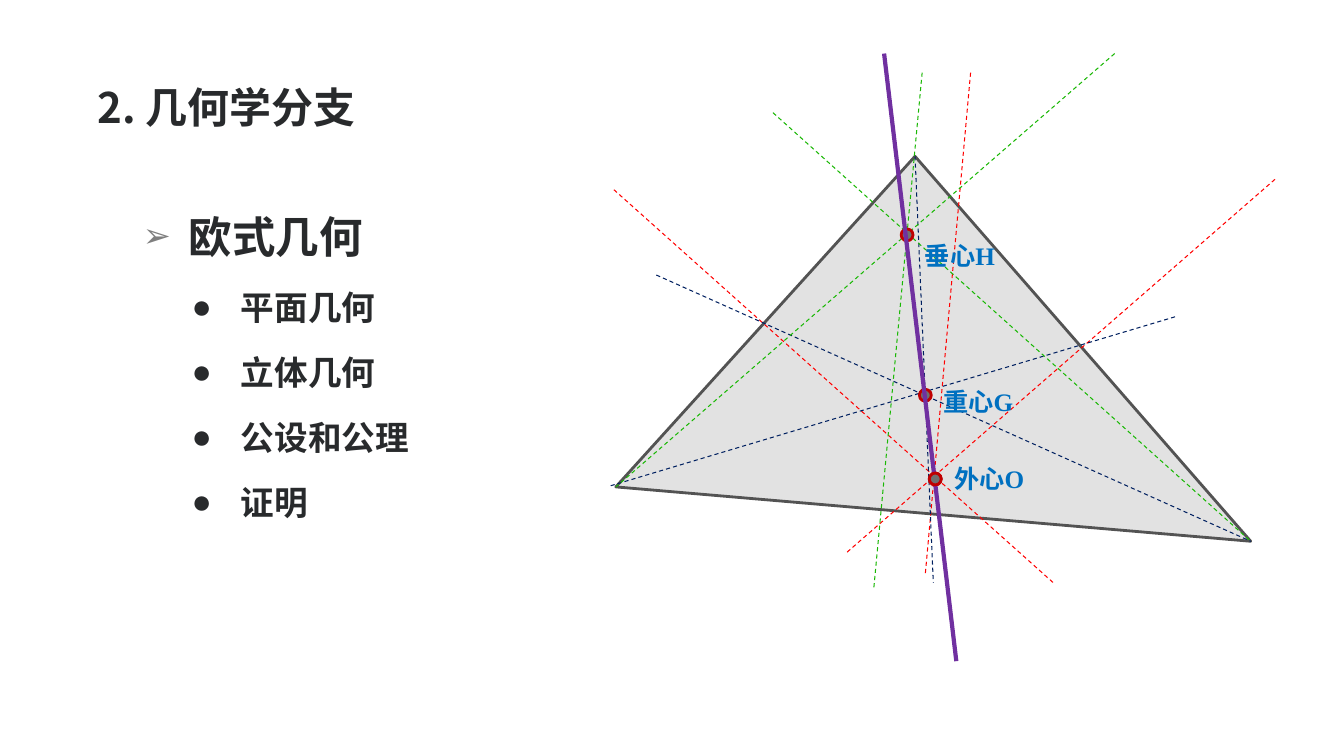
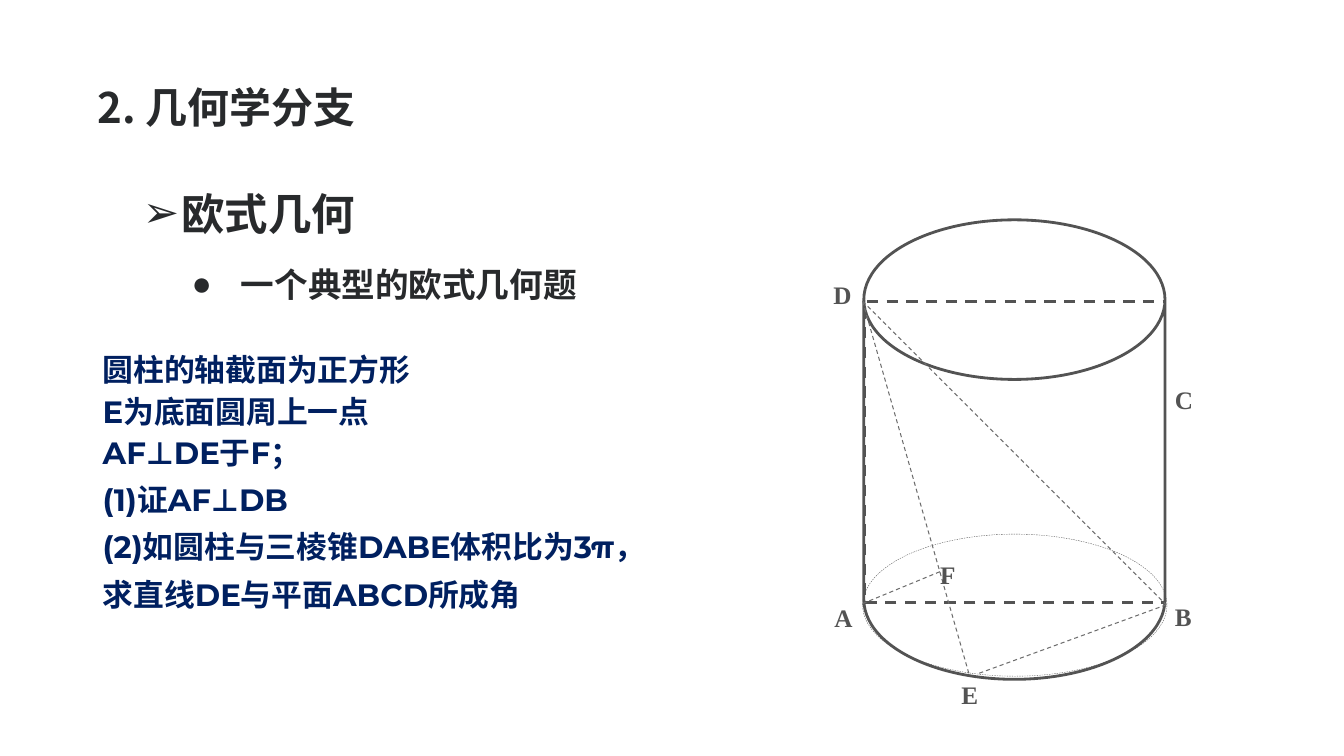
from lxml.etree import SubElement
from pptx import Presentation
from pptx.dml.color import RGBColor
from pptx.enum.dml import MSO_LINE_DASH_STYLE as Dash
from pptx.enum.shapes import MSO_CONNECTOR as Connector, MSO_SHAPE as Shape
from pptx.enum.text import MSO_ANCHOR as Anchor
from pptx.oxml.ns import qn
from pptx.util import Cm, Pt

INK, GREY, OUTLINE, THIN = "282A2C", "7F7F7F", "535353", "6E6E6E"
NAVY, BLUE, RED, GREEN = "002060", "0070C0", "FF0000", "19B804"
PURPLE, DARK_RED, DOT, PALE = "7030A0", "C00000", "707070", "E2E2E2"
CJK, LATIN, SERIF = "Noto Sans CJK SC", "Montserrat", "Times New Roman"

# Paragraph styles: line height and space before in points, indents in cm
TITLE = dict(line=32.3)
BRANCH = dict(line=52, before=18, left=1.98, hang=0.97, bullet="➢")
TOPIC = dict(line=34.4, before=12, left=3.48, hang=1.24, bullet="●")
GIVEN = dict(line=23.7, before=6)
FIRST_GIVEN = dict(GIVEN, before=36)
TASK = dict(GIVEN, before=10)


def rgb(value):
    return RGBColor.from_string(value)


def add_span(para, text, size=24, color=INK, font=CJK):
    span = para.add_run()
    span.text = text
    span.font.size = Pt(size)
    span.font.bold = True
    span.font.color.rgb = rgb(color)
    span.font.name = font
    SubElement(span.font._element, qn("a:ea"), typeface=CJK)


def format_para(para, line=None, before=0, left=0, hang=0, bullet=None):
    if line:
        para.line_spacing = Pt(line)
    para.space_before = Pt(before)
    if bullet:
        properties = para._p.get_or_add_pPr()
        properties.set("marL", str(Cm(left)))
        properties.set("indent", str(-Cm(hang)))
        SubElement(properties, qn("a:buFont"), typeface="Arial")
        SubElement(properties, qn("a:buChar"), char=bullet)


class Deck:
    """Holds the shared style and the current slide."""

    def __init__(self):
        self.deck = Presentation()
        self.deck.slide_width, self.deck.slide_height = Cm(33.87), Cm(19.05)
        self.page = None

    def new_page(self, title):
        self.page = self.deck.slides.add_slide(self.deck.slide_layouts[6])
        self.text(2.34, 0.91, 29.21, 3.68, [(TITLE, [(title, dict(size=30))])],
                  inset=0.13, anchor=Anchor.MIDDLE)

    def text(self, left, top, width, height, paras, inset=None, anchor=Anchor.TOP):
        box = self.page.shapes.add_textbox(Cm(left), Cm(top), Cm(width), Cm(height))
        frame = box.text_frame
        frame.word_wrap = True
        frame.vertical_anchor = anchor
        if inset is not None:
            frame.margin_left = frame.margin_right = Cm(inset)
            frame.margin_top = frame.margin_bottom = Cm(inset)
        for index, (style, spans) in enumerate(paras):
            para = frame.add_paragraph() if index else frame.paragraphs[0]
            format_para(para, **style)
            for words, look in spans:
                add_span(para, words, **look)

    def body(self, top, paras):
        self.text(2.34, top, 29.21, 12.09, paras, inset=0.25)

    def label(self, words, left, top, color, width):
        look = dict(size=18, color=color, font=SERIF)
        self.text(left, top, width, 1.02, [({}, [(words, look)])])

    def finish(self, shape, fill, line, weight, dash):
        shape.shadow.inherit = False
        if fill:
            shape.fill.solid()
            shape.fill.fore_color.rgb = rgb(fill)
        else:
            shape.fill.background()
        self.stroke(shape.line, line, weight, dash)

    def stroke(self, outline, color, weight, dash):
        outline.color.rgb = rgb(color)
        outline.width = Pt(weight)
        if dash:
            outline.dash_style = Dash.DASH

    def shape(self, kind, left, top, width, height, fill=None, line=OUTLINE,
              weight=2, dash=False):
        shape = self.page.shapes.add_shape(
            kind, Cm(left), Cm(top), Cm(width), Cm(height))
        self.finish(shape, fill, line, weight, dash)
        return shape

    def polygon(self, corners, fill, line, weight=2):
        points = [(Cm(x), Cm(y)) for x, y in corners]
        builder = self.page.shapes.build_freeform(*points[0])
        builder.add_line_segments(points[1:], close=True)
        self.finish(builder.convert_to_shape(), fill, line, weight, False)

    def line(self, start, end, color, weight=0.75, dash=True):
        ends = [Cm(value) for value in (*start, *end)]
        line = self.page.shapes.add_connector(Connector.STRAIGHT, *ends)
        self.stroke(line.line, color, weight, dash)
        SubElement(line._element.spPr, qn("a:effectLst"))

    def dot(self, center, size=0.3):
        x, y = center
        self.shape(Shape.OVAL, x - size / 2, y - size / 2, size, size,
                   fill=DOT, line=DARK_RED)


def build_triangle(deck):
    deck.new_page("2. 几何学分支")
    branch = [(" ", dict(color=GREY, font="Arial")), ("欧式几何", dict(size=31))]
    topics = ["平面几何", "立体几何", "公设和公理", "证明"]
    deck.body(4.52, [(BRANCH, branch)] + [(TOPIC, [(name, {})]) for name in topics])

    # Triangle with its bisectors, medians and altitudes
    apex, left, right = (23.06, 3.94), (15.52, 12.27), (31.52, 13.64)
    deck.polygon([apex, left, right], PALE, OUTLINE)
    families = {
        RED: [((15.47, 4.78), (26.54, 14.68)), ((32.13, 4.52), (21.34, 13.92)),
              ((24.46, 1.83), (23.32, 14.45))],
        NAVY: [((15.39, 12.24), (29.62, 7.98)), (apex, (23.52, 14.68)),
               ((16.54, 6.93), right)],
        GREEN: [((23.24, 1.83), (22.02, 14.83)), ((28.09, 1.35), left),
                ((19.48, 2.84), right)],
    }
    for color, lines in families.items():
        for start, end in lines:
            deck.line(start, end, color)

    # Centres and the line through them
    centers = [("垂心H", (22.86, 5.92), (23.06, 5.94)),
               ("重心G", (23.32, 9.96), (23.52, 9.6)),
               ("外心O", (23.57, 12.07), (23.8, 11.56))]
    for name, center, corner in centers:
        deck.dot(center)
        deck.label(name, *corner, BLUE, width=3.99)
    deck.line((22.28, 1.35), (24.1, 16.66), PURPLE, weight=3, dash=False)
    deck.dot(centers[-1][1])


def build_cylinder(deck):
    deck.new_page("2. 几何学分支")
    problem = [(FIRST_GIVEN, "圆柱的轴截面为正方形"), (GIVEN, "E为底面圆周上一点"),
               (GIVEN, "AF⊥DE于F；"), (TASK, "(1)证AF⊥DB"),
               (TASK, "(2)如圆柱与三棱锥DABE体积比为3π，"),
               (TASK, "求直线DE与平面ABCD所成角")]
    look = dict(size=22, color=NAVY, font=LATIN)
    deck.body(3.94, [(BRANCH, [("欧式几何", dict(size=31))]),
                     (TOPIC, [("一个典型的欧式几何题", {})])]
              + [(style, [(words, look)]) for style, words in problem])

    # Cylinder, base circle and axial section
    cylinder = deck.shape(Shape.CAN, 21.77, 5.54, 7.59, 11.58)
    cylinder.adjustments[0] = 0.53
    deck.shape(Shape.OVAL, 21.74, 13.46, 7.67, 3.58, weight=0.25, dash=True)
    deck.shape(Shape.RECTANGLE, 21.79, 7.59, 7.57, 7.59, dash=True)

    # Edges of the pyramid and the perpendicular AF
    corner_a, corner_b, corner_d = (21.74, 15.21), (29.39, 15.24), (21.74, 7.59)
    for start, end in [(corner_d, (24.43, 17.02)), (corner_d, corner_b),
                       (corner_b, (24.61, 16.99)), (corner_a, (23.7, 14.4))]:
        deck.line(start, end, THIN)

    # Point names
    for name, left, top in [("D", 20.75, 6.91), ("C", 29.36, 9.55),
                            ("A", 20.78, 15.06), ("B", 29.36, 15.04),
                            ("E", 23.98, 16.99), ("F", 23.44, 13.97)]:
        deck.label(name, left, top, OUTLINE, width=1.9)


def main():
    deck = Deck()
    build_triangle(deck)
    build_cylinder(deck)
    deck.deck.save("out.pptx")


if __name__ == "__main__":
    main()
